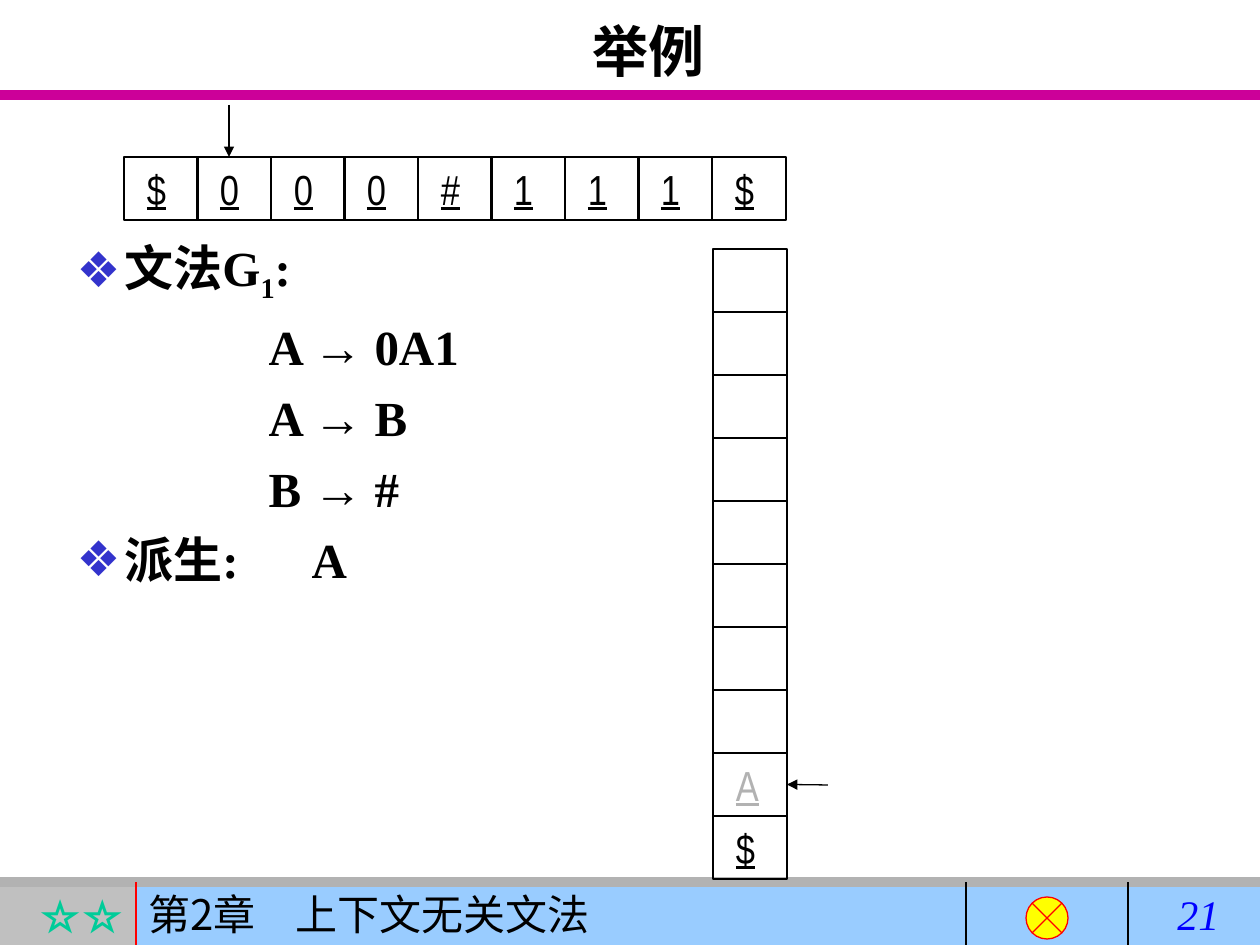
from dataclasses import dataclass
from typing import NamedTuple

from lxml import etree
from pptx import Presentation, util as u
from pptx.dml.color import RGBColor
from pptx.enum import shapes as s, text as t
from pptx.oxml.ns import qn


@dataclass(frozen=True)
class Theme:
    black: str = "000000"
    gray: str = "B2B2B2"
    silver: str = "C0C0C0"
    sky: str = "99CCFF"
    pink: str = "CC0099"
    red: str = "FF0000"
    gold: str = "FFFF00"
    green: str = "00CC99"
    blue: str = "0000FF"
    bullet: str = "3333CC"
    serif: str = "Times New Roman"
    sans: str = "Arial"
    narrow: str = "Arial Narrow"
    han: str = "Noto Sans CJK SC"
    head: int = 32
    body: int = 28
    small: int = 24
    thin: float = 0.75
    thick: int = 6


class Box(NamedTuple):
    x: int
    y: int
    w: int
    h: int


class Cell(NamedTuple):
    box: Box
    mark: str = ""
    color: str = Theme.black


class Rule(NamedTuple):
    x1: int
    y1: int
    x2: int
    y2: int
    color: str = Theme.black
    width: float = Theme.thin
    head: str = ""


class Line(NamedTuple):
    words: tuple
    bullet: bool = False
    tab: int = 0


T = Theme()
WIDE, TALL = 1260, 945
SCALE = 914400 / 126


def px(n: int) -> u.Emu:
    return u.Emu(round(n * SCALE))


def span(box: Box) -> list:
    return [px(n) for n in box]


def rgb(code: str) -> RGBColor:
    return RGBColor.from_string(code)


def add(node, tag: str, **attrs):
    return etree.SubElement(node, qn(tag), **attrs)


def style(run, size: int, color: str = T.black, face: str = T.serif, bold=False,
          slant=False, under=False) -> None:
    font = run.font
    font.size, font.name = u.Pt(size), face
    font.bold, font.italic, font.underline = bold, slant, under
    font.color.rgb = rgb(color)
    add(run._r.get_or_add_rPr(), "a:ea", typeface=T.han)


def set_frame(shape):
    frame = shape.text_frame
    frame.word_wrap = True
    frame.auto_size = t.MSO_AUTO_SIZE.NONE
    frame.vertical_anchor = t.MSO_ANCHOR.TOP
    return frame


def add_tab(para, pos: int) -> None:
    tabs = add(para._p.get_or_add_pPr(), "a:tabLst")
    add(tabs, "a:tab", pos=str(px(pos)), algn="l")


def draw_shape(slide, box: Box, kind=s.MSO_SHAPE.RECTANGLE, fill: str = "", edge: str = ""):
    shape = slide.shapes.add_shape(kind, *span(box))
    shape.shadow.inherit = False
    if fill:
        shape.fill.solid()
        shape.fill.fore_color.rgb = rgb(fill)
    else:
        shape.fill.background()
    if edge:
        shape.line.color.rgb = rgb(edge)
        shape.line.width = u.Pt(T.thin)
    else:
        shape.line.fill.background()
    return shape


def write(shape, text: str, align=t.PP_ALIGN.LEFT, tab: int = 0, **look) -> None:
    frame = set_frame(shape)
    frame.text = text
    para = frame.paragraphs[0]
    para.alignment = align
    if tab:
        add_tab(para, tab)
    for run in para.runs:
        style(run, **look)


def draw_rule(slide, rule: Rule):
    ends = [px(n) for n in rule[:4]]
    line = slide.shapes.add_connector(s.MSO_CONNECTOR.STRAIGHT, *ends)
    line.line.color.rgb = rgb(rule.color)
    line.line.width = u.Pt(rule.width)
    props = line.element.spPr
    if rule.head:
        add(props.find(qn("a:ln")), rule.head, type="triangle")
    add(props, "a:effectLst")
    return line


def draw_cell(slide, cell: Cell):
    shape = draw_shape(slide, cell.box, edge=T.black)
    if cell.mark:
        write(shape, cell.mark, size=T.small, color=cell.color, face=T.narrow, under=True)
        shape.text_frame.margin_left = px(23)
        shape.text_frame.margin_right = 0
    return shape


def draw_frame(slide) -> None:
    draw_rule(slide, Rule(0, 95, WIDE, 95, T.pink, T.thick))
    stars = draw_shape(slide, Box(0, 882, 136, 63), fill=T.silver)
    write(stars, "☆☆", t.PP_ALIGN.RIGHT, size=T.small, color=T.green, bold=True)
    band = draw_shape(slide, Box(136, 882, 1124, 63), fill=T.sky)
    write(band, "第2章\t上下文无关文法", tab=147, size=T.small, face=T.han)
    draw_rule(slide, Rule(0, 882, WIDE, 882, T.gray, T.thick))
    for x, color in ((136, T.red), (966, T.black), (1128, T.black)):
        draw_rule(slide, Rule(x, 882, x, TALL, color))
    draw_shape(slide, Box(1026, 897, 42, 42), s.MSO_SHAPE.FLOWCHART_SUMMING_JUNCTION,
               T.gold, T.red)
    page = slide.shapes.add_textbox(*span(Box(1165, 882, 95, 63)))
    write(page, "21", size=T.small, color=T.blue, slant=True)


def fill_list(shape, lines: list[Line]) -> None:
    frame = set_frame(shape)
    for i, line in enumerate(lines):
        para = frame.paragraphs[0] if i == 0 else frame.add_paragraph()
        para.space_before = u.Pt(7 if i else 0)
        props = para._p.get_or_add_pPr()
        left, hang = (48, -48) if line.bullet else (192, 0)
        props.set("marL", str(px(left)))
        props.set("indent", str(px(hang)))
        if line.bullet:
            add(add(props, "a:buClr"), "a:srgbClr", val=T.bullet)
            add(props, "a:buChar", char="❖")
        else:
            add(props, "a:buNone")
        if line.tab:
            add_tab(para, line.tab)
        for word in line.words:
            run = para.add_run()
            run.text = word
            style(run, T.body, face=T.sans if word == "→" else T.serif, bold=True)
            if word == "1":
                run._r.get_or_add_rPr().set("baseline", "-25000")


def main() -> None:
    deck = Presentation()
    deck.slide_width, deck.slide_height = px(WIDE), px(TALL)
    slide = deck.slides.add_slide(deck.slide_layouts[1])
    title, body = slide.placeholders
    title.left, title.top, title.width, title.height = span(Box(113, 10, 1071, 158))
    write(title, "举例", t.PP_ALIGN.CENTER, size=T.head, bold=True)
    body.left, body.top, body.width, body.height = span(Box(64, 231, 592, 640))
    rules = [("A", "0A1"), ("A", "B"), ("B", "#")]
    fill_list(body, [
        Line(("文法G", "1", ":"), bullet=True),
        *(Line((f"{a} ", "→", f" {b}")) for a, b in rules),
        Line(("派生:\tA",), bullet=True, tab=235),
    ])
    draw_frame(slide)

    for i, mark in enumerate("$000#111$"):
        draw_cell(slide, Cell(Box(124 + i * 147 // 2, 157, 74, 63), mark))
    draw_rule(slide, Rule(229, 105, 229, 157, head="a:tailEnd"))

    marks = [""] * 8 + ["A", "$"]
    stack = [draw_cell(slide, Cell(Box(713, 249 + i * 63, 74, 63), mark,
                                   T.gray if mark == "A" else T.black))
             for i, mark in enumerate(marks)]
    top = draw_rule(slide, Rule(787, 785, 828, 785, head="a:headEnd"))
    top.begin_connect(stack[8], 3)
    deck.save("out.pptx")


if __name__ == "__main__":
    main()
